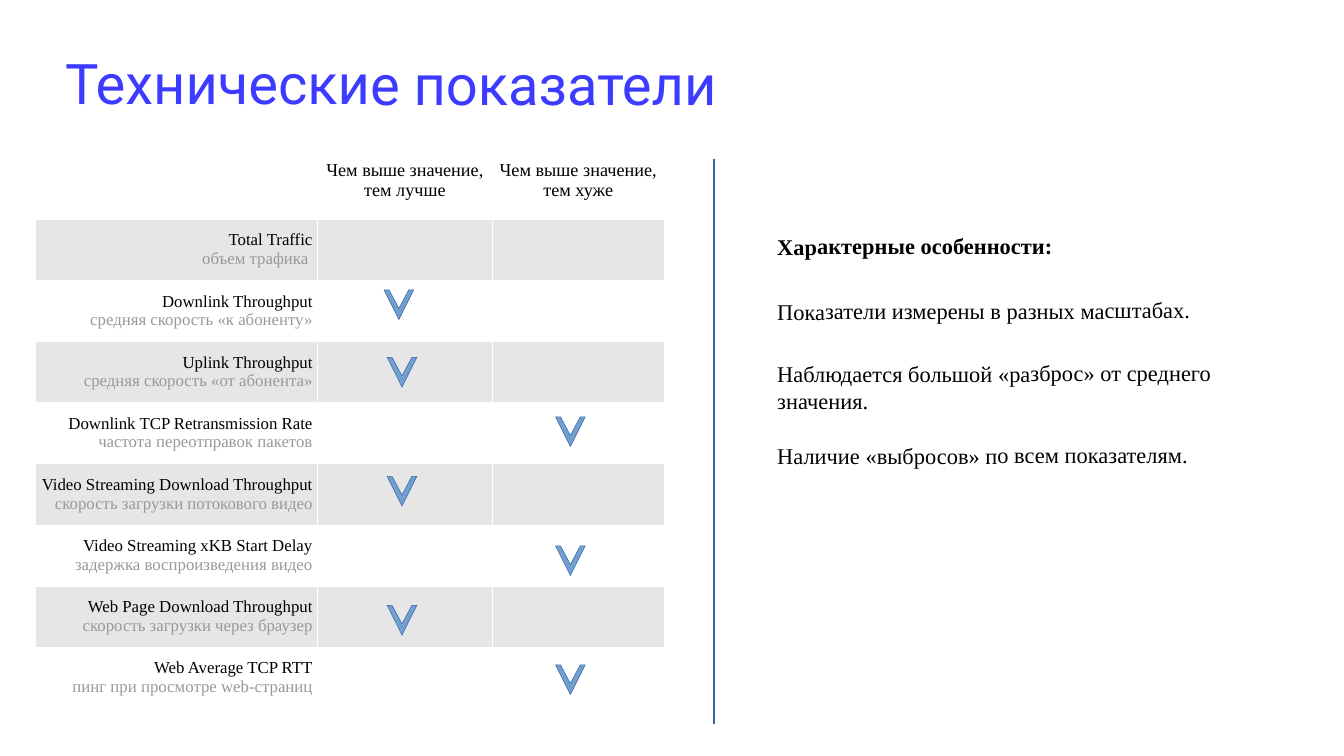
from typing import NamedTuple

from lxml.etree import SubElement
from pptx import Presentation
from pptx.dml.color import RGBColor
from pptx.enum.shapes import MSO_CONNECTOR
from pptx.enum.text import MSO_ANCHOR as Anchor, MSO_AUTO_SIZE as AutoSize, PP_ALIGN as Align
from pptx.oxml.ns import qn
from pptx.util import Pt

WHITE = RGBColor(0xFF, 0xFF, 0xFF)
BLACK = RGBColor(0x00, 0x00, 0x00)
GREY = RGBColor(0x99, 0x99, 0x99)
BAND = RGBColor(0xE6, 0xE6, 0xE6)
TITLE_BLUE = RGBColor(0x3D, 0x3B, 0xFF)
MARK_FILL = RGBColor(0x72, 0x9F, 0xCF)
MARK_LINE = RGBColor(0x34, 0x65, 0xA4)
SERIF = "Times New Roman"


class Metric(NamedTuple):
    name: str
    meaning: str


class Mark(NamedTuple):
    left: float
    top: float


class Note(NamedTuple):
    text: str
    top: float
    width: float
    height: float
    bold: bool = False


HEADINGS = ["", "Чем выше значение, тем лучше", "Чем выше значение, тем хуже"]
COLUMN_WIDTHS = [403.2, 249.8, 245.5]
ROW_HEIGHT = 87.35
METRICS = [
    Metric("Total Traffic", "объем трафика "),
    Metric("Downlink Throughput", "средняя скорость «к абоненту»"),
    Metric("Uplink Throughput", "средняя скорость «от абонента»"),
    Metric("Downlink TCP Retransmission Rate", "частота переотправок пакетов"),
    Metric("Video Streaming Download Throughput", "скорость загрузки потокового видео"),
    Metric("Video Streaming xKB Start Delay", "задержка воспроизведения видео"),
    Metric("Web Page Download Throughput", "скорость загрузки через браузер"),
    Metric("Web Average TCP RTT", "пинг при просмотре web-страниц"),
]

BETTER, WORSE = 553, 793.6
MARKS = [
    Mark(548.6, 414), Mark(BETTER, 510.5), Mark(WORSE, 595.4), Mark(BETTER, 680.4),
    Mark(WORSE, 779.8), Mark(BETTER, 864.7), Mark(WORSE, 949.7),
]
MARK_OUTLINE = [(0, 0), (21.25, 42.5), (42.5, 0), (35.4, 0), (21.25, 26.6), (7.1, 0)]

NOTES = [
    Note("Характерные особенности:", 327.6, 609, 46, bold=True),
    Note("Показатели измерены в разных масштабах.", 420.5, 609, 46),
    Note("Наблюдается большой «разброс» от среднего значения.", 509.8, 638, 85),
    Note("Наличие «выбросов» по всем показателям.", 627.1, 600.5, 46),
]


def write(paragraph, text: str, *, size: float, color: RGBColor = BLACK,
          font: str = SERIF, bold: bool = False, align: Align = Align.LEFT) -> None:
    paragraph.alignment = align
    run = paragraph.add_run()
    run.text = text
    run.font.name = font
    run.font.size = Pt(size)
    run.font.bold = bold
    run.font.color.rgb = color


def add_text(slide, left: float, top: float, width: float, height: float,
             text: str, rotation: float, **text_format) -> None:
    box = slide.shapes.add_textbox(Pt(left), Pt(top), Pt(width), Pt(height))
    box.rotation = rotation
    frame = box.text_frame
    frame.word_wrap = True
    frame.auto_size = AutoSize.SHAPE_TO_FIT_TEXT
    frame.vertical_anchor = Anchor.MIDDLE
    frame.margin_left = frame.margin_right = Pt(4.3)
    frame.margin_top = frame.margin_bottom = Pt(4.3)
    write(frame.paragraphs[0], text, **text_format)


def style_cell(cell, fill: RGBColor) -> None:
    properties = cell._tc.get_or_add_tcPr()
    for side in ("a:lnL", "a:lnR", "a:lnT", "a:lnB"):
        border = SubElement(properties, qn(side), w=str(Pt(0.06)))
        solid = SubElement(border, qn("a:solidFill"))
        SubElement(solid, qn("a:srgbClr"), val=str(WHITE))
    cell.fill.solid()
    cell.fill.fore_color.rgb = fill


def add_metrics_table(slide) -> None:
    row_count = len(METRICS) + 1
    metrics_table = slide.shapes.add_table(
        row_count, len(HEADINGS), Pt(50.4), Pt(225.4),
        Pt(sum(COLUMN_WIDTHS)), Pt(row_count * ROW_HEIGHT)).table
    metrics_table.first_row = metrics_table.horz_banding = False
    for column, width in zip(metrics_table.columns, COLUMN_WIDTHS):
        column.width = Pt(width)
    for index, row in enumerate(metrics_table.rows):
        row.height = Pt(ROW_HEIGHT)
        for cell in row.cells:
            style_cell(cell, BAND if index % 2 else WHITE)

    for column, heading in enumerate(HEADINGS):
        if heading:
            write(metrics_table.cell(0, column).text_frame.paragraphs[0], heading,
                  size=26, align=Align.CENTER)
    for row, metric in enumerate(METRICS, start=1):
        cell = metrics_table.cell(row, 0)
        cell.vertical_anchor = Anchor.MIDDLE
        frame = cell.text_frame
        write(frame.paragraphs[0], metric.name, size=24, align=Align.RIGHT)
        write(frame.add_paragraph(), metric.meaning, size=24, color=GREY, align=Align.RIGHT)


def add_mark(slide, mark: Mark) -> None:
    start, *rest = [(Pt(mark.left + x), Pt(mark.top + y)) for x, y in MARK_OUTLINE]
    builder = slide.shapes.build_freeform(*start)
    builder.add_line_segments(rest, close=True)
    tick = builder.convert_to_shape()
    tick.shadow.inherit = False
    tick.fill.solid()
    tick.fill.fore_color.rgb = MARK_FILL
    tick.line.color.rgb = MARK_LINE
    tick.line.width = Pt(0)


def add_divider(slide, x: float, top: float, bottom: float) -> None:
    divider = slide.shapes.add_connector(
        MSO_CONNECTOR.STRAIGHT, Pt(x), Pt(top), Pt(x), Pt(bottom))
    divider.line.color.rgb = MARK_LINE
    divider.line.width = Pt(3)
    SubElement(divider._element.spPr, qn("a:effectLst"))


def main() -> None:
    deck = Presentation()
    deck.slide_width, deck.slide_height = Pt(1920), Pt(1080)
    slide = deck.slides.add_slide(deck.slide_layouts[6])

    # Title
    add_text(slide, 88.6, 67, 1813, 103.7, "Технические показатели", 0.1,
             size=80, font="Roboto", color=TITLE_BLUE)

    # Metrics and their direction
    add_metrics_table(slide)
    for mark in MARKS:
        add_mark(slide, mark)

    # Observations
    for note in NOTES:
        add_text(slide, 1105.9, note.top, note.width, note.height, note.text, -0.2,
                 size=32, bold=note.bold)
    add_divider(slide, 1020.2, 226.8, 1034.6)

    deck.save("out.pptx")


if __name__ == "__main__":
    main()
